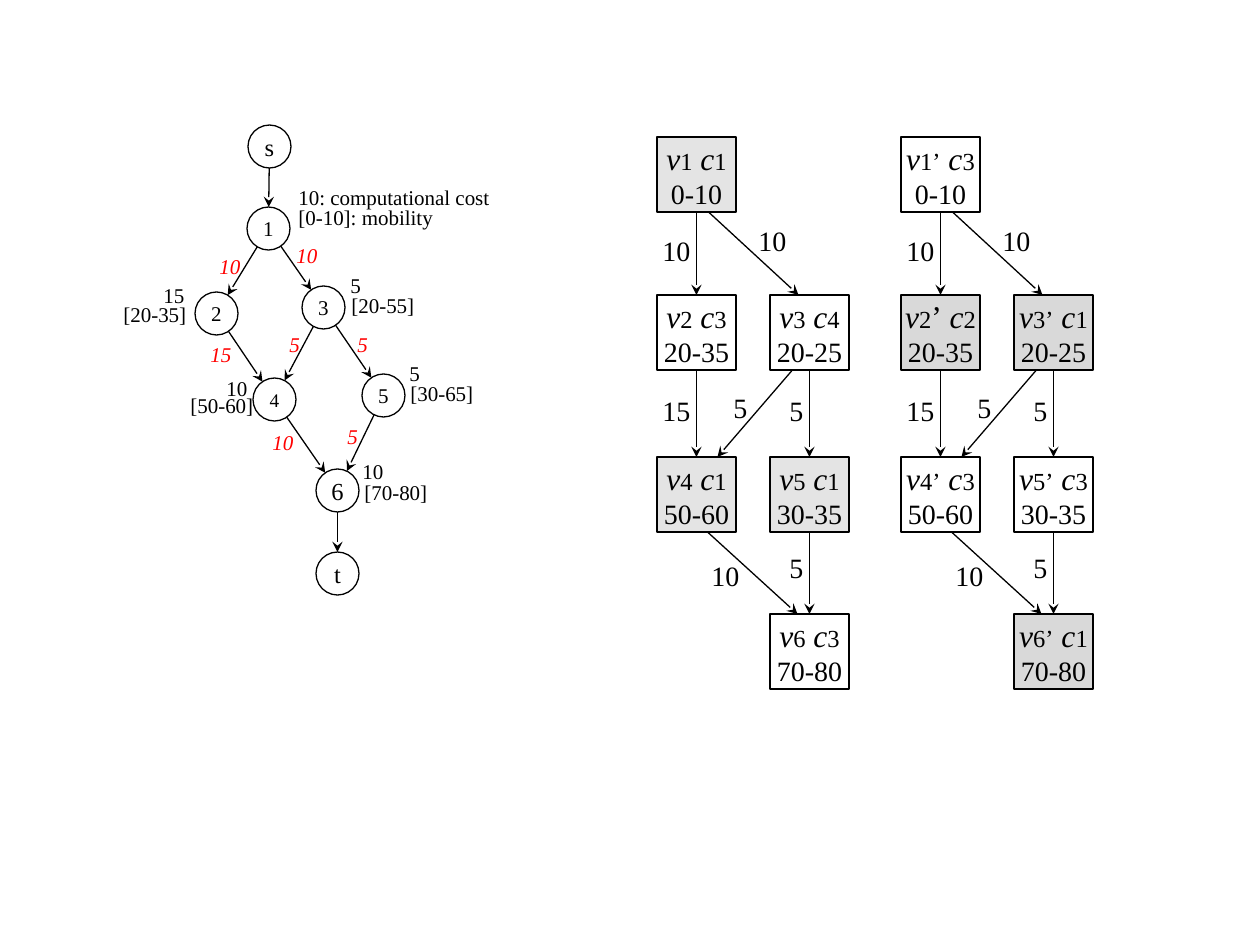
"""Build a slide with a task graph and its two variants placed on processors."""
from math import hypot

from lxml import etree
from pptx import Presentation
from pptx.dml.color import RGBColor
from pptx.enum.shapes import MSO_CONNECTOR, MSO_SHAPE
from pptx.enum.text import MSO_ANCHOR, MSO_AUTO_SIZE, PP_ALIGN
from pptx.oxml.ns import qn
from pptx.util import Emu, Pt

STRAIGHT = MSO_CONNECTOR.STRAIGHT
RECTANGLE, OVAL = MSO_SHAPE.RECTANGLE, MSO_SHAPE.OVAL
MIDDLE, CENTER = MSO_ANCHOR.MIDDLE, PP_ALIGN.CENTER
FIT_TEXT = MSO_AUTO_SIZE.SHAPE_TO_FIT_TEXT
TOP, BOTTOM = 0, 2

BLACK = RGBColor(0x00, 0x00, 0x00)
RED = RGBColor(0xFF, 0x00, 0x00)
GREY = RGBColor(0xD9, 0xD9, 0xD9)
FONT = "Times New Roman"
EMU_PER_PX = 914400 / 126

DIAMETER = 43
TASKS = {
    "s": (248, 125, 14), "1": (247, 207, 12), "2": (195, 292, 12),
    "3": (302, 286, 12), "4": (253, 378, 11), "5": (362, 374, 12),
    "6": (316, 469, 14), "t": (316, 552, 14),
}
TASK_EDGES = ["s1", "12", "13", "24", "34", "35", "46", "56", "6t"]
TASK_NOTES = [
    ("10: computational cost", 286, 178), ("[0-10]: mobility", 286, 198),
    ("15", 151, 276), ("[20-35]", 111, 295),
    ("5", 338, 266), ("[20-55]", 339, 286),
    ("10", 214, 369), ("[50-60]", 178, 386),
    ("5", 397, 354), ("[30-65]", 398, 374),
    ("10", 350, 452), ("[70-80]", 352, 473),
]
TRANSFER_COSTS = [
    ("10", 207, 247), ("10", 284, 236), ("15", 198, 335), ("5", 277, 325),
    ("5", 345, 325), ("10", 260, 423), ("5", 335, 417),
]
NOTE_WIDTHS = {1: 37, 2: 47, 7: 89, 16: 163, 22: 218}

BOX_WIDTH, BOX_HEIGHT = 79, 75
COLUMNS = [657, 770]
ROWS = [137, 295, 457, 614]
VERTICES = {
    "1": (0, 0, "0-10"), "2": (0, 1, "20-35"), "3": (1, 1, "20-25"),
    "4": (0, 2, "50-60"), "5": (1, 2, "30-35"), "6": (1, 3, "70-80"),
}
STRAIGHT_EDGES = ["12", "24", "35", "56"]
SLANTED_EDGES = [("13", 12, -11), ("34", -17, 21), ("46", 11, -12)]
EDGE_COSTS = [
    ("10", 650, 227), ("10", 746, 217), ("15", 650, 387), ("5", 777, 387),
    ("5", 721, 384), ("10", 699, 552), ("5", 777, 544),
]
COST_WIDTHS = {1: 39, 2: 54}
VARIANTS = [
    {"offset": 0, "mark": "", "processors": "134113", "shaded": "145",
     "large_marks": "", "opacity": 70},
    {"offset": 244, "mark": "’", "processors": "321331", "shaded": "236",
     "large_marks": "2", "opacity": 100},
]


def px(length):
    return Emu(round(length * EMU_PER_PX))


def format_font(font, size, color=BLACK, italic=False):
    font.name, font.size, font.italic = FONT, Pt(size), italic
    font.color.rgb = color


def add_outlined_shape(shapes, kind, left, top, width, height):
    shape = shapes.add_shape(kind, px(left), px(top), px(width), px(height))
    shape.shadow.inherit = False
    shape.fill.background()
    shape.line.color.rgb, shape.line.width = BLACK, Pt(0.75)
    shape.text_frame.word_wrap = False
    shape.text_frame.vertical_anchor = MIDDLE
    return shape


def add_arrow(shapes, start, end):
    arrow = shapes.add_connector(STRAIGHT, *map(px, (*start, *end)))
    arrow.line.color.rgb, arrow.line.width = BLACK, Pt(0.75)
    properties = arrow._element.spPr
    line = properties.find(qn("a:ln"))
    etree.SubElement(line, qn("a:tailEnd")).set("type", "stealth")
    etree.SubElement(properties, qn("a:effectLst"))
    return arrow


def add_labels(shapes, labels, widths, height, size, color=BLACK,
               italic=False, offset=0):
    for text, left, top in labels:
        box = shapes.add_textbox(px(left + offset), px(top),
                                 px(widths[len(text)]), px(height))
        frame = box.text_frame
        frame.word_wrap, frame.auto_size = False, FIT_TEXT
        frame.text = text
        format_font(frame.paragraphs[0].runs[0].font, size, color, italic)


def add_task_graph(shapes):
    radius = DIAMETER / 2
    for name, (left, top, size) in TASKS.items():
        circle = add_outlined_shape(shapes, OVAL, left, top,
                                    DIAMETER, DIAMETER)
        circle.text_frame.text = name
        paragraph = circle.text_frame.paragraphs[0]
        paragraph.alignment = CENTER
        format_font(paragraph.runs[0].font, size)
    for source, target in TASK_EDGES:
        x1, y1 = (value + radius for value in TASKS[source][:2])
        x2, y2 = (value + radius for value in TASKS[target][:2])
        share = radius / hypot(x2 - x1, y2 - y1)
        dx, dy = (x2 - x1) * share, (y2 - y1) * share
        add_arrow(shapes, (x1 + dx, y1 + dy), (x2 - dx, y2 - dy))
    add_labels(shapes, TASK_NOTES, NOTE_WIDTHS, 38, 12)
    add_labels(shapes, TRANSFER_COSTS, NOTE_WIDTHS, 38, 12, RED, True)


def add_vertex(shapes, variant, name, processor):
    column, row, interval = VERTICES[name]
    box = add_outlined_shape(shapes, RECTANGLE,
                             COLUMNS[column] + variant["offset"], ROWS[row],
                             BOX_WIDTH, BOX_HEIGHT)
    if name in variant["shaded"]:
        box.fill.solid()
        box.fill.fore_color.rgb = GREY
        if variant["opacity"] < 100:
            color = box._element.spPr.find(qn("a:solidFill"))[0]
            alpha = etree.SubElement(color, qn("a:alpha"))
            alpha.set("val", str(variant["opacity"] * 1000))
    mark_size = 18 if name in variant["large_marks"] else 14
    heading = box.text_frame.paragraphs[0]
    for text, size, italic in [("v", 18, True), (name, 14, False),
                               (variant["mark"], mark_size, False),
                               (" c", 18, True), (processor, 14, False)]:
        if text:
            run = heading.add_run()
            run.text = text
            format_font(run.font, size, italic=italic)
    times = box.text_frame.add_paragraph()
    times.text = interval
    format_font(times.runs[0].font, 16)
    heading.alignment = times.alignment = CENTER
    return box


def add_variant(shapes, variant):
    boxes = {name: add_vertex(shapes, variant, name, processor)
             for name, processor in zip(VERTICES, variant["processors"])}

    def side_point(name, shift, drop):
        column, row, _ = VERTICES[name]
        return (COLUMNS[column] + variant["offset"] + BOX_WIDTH / 2 + shift,
                ROWS[row] + drop)

    for source, target in STRAIGHT_EDGES:
        arrow = add_arrow(shapes, side_point(source, 0, BOX_HEIGHT),
                          side_point(target, 0, 0))
        arrow.begin_connect(boxes[source], BOTTOM)
        arrow.end_connect(boxes[target], TOP)
    for (source, target), start_shift, end_shift in SLANTED_EDGES:
        add_arrow(shapes, side_point(source, start_shift, BOX_HEIGHT),
                  side_point(target, end_shift, 0))
    add_labels(shapes, EDGE_COSTS, COST_WIDTHS, 47, 16,
               offset=variant["offset"])


def main():
    presentation = Presentation()
    presentation.slide_width, presentation.slide_height = px(1260), px(945)
    slide = presentation.slides.add_slide(presentation.slide_layouts[6])
    for variant in VARIANTS:
        add_variant(slide.shapes, variant)
    add_task_graph(slide.shapes)
    presentation.save("out.pptx")


if __name__ == "__main__":
    main()
